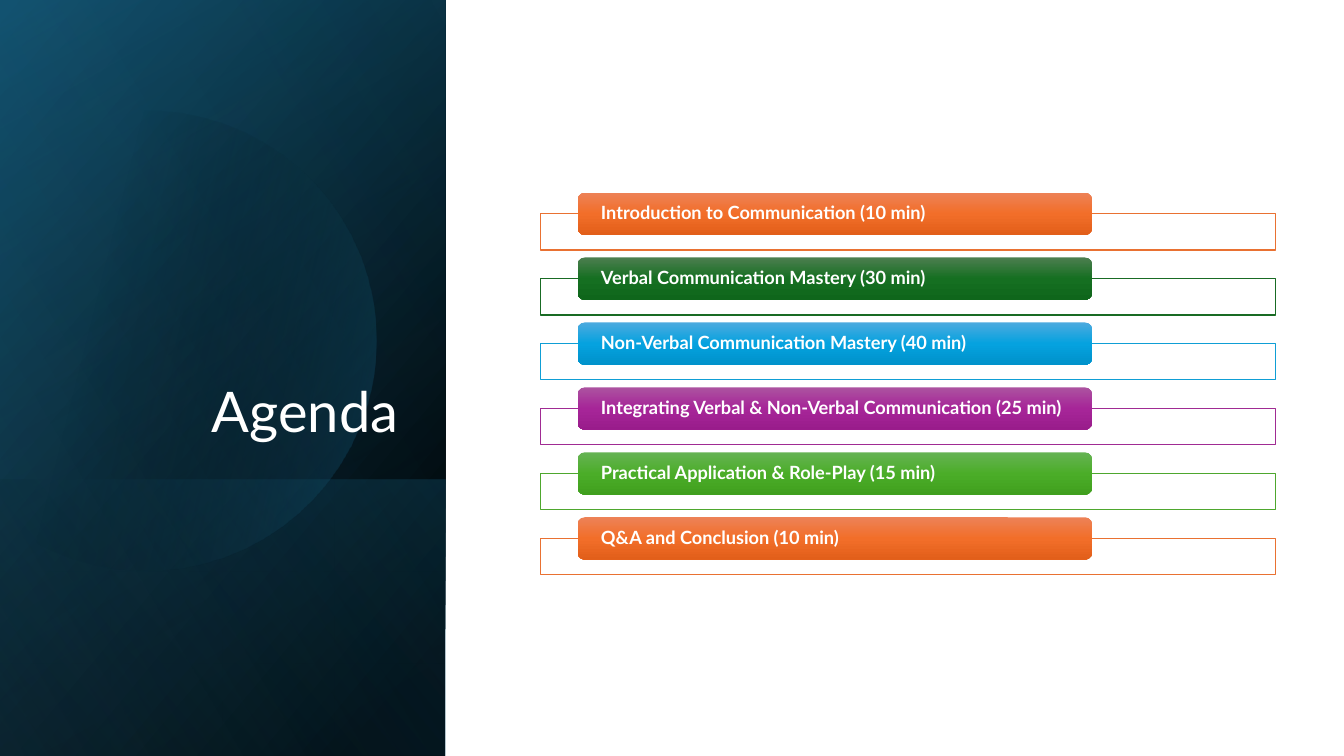
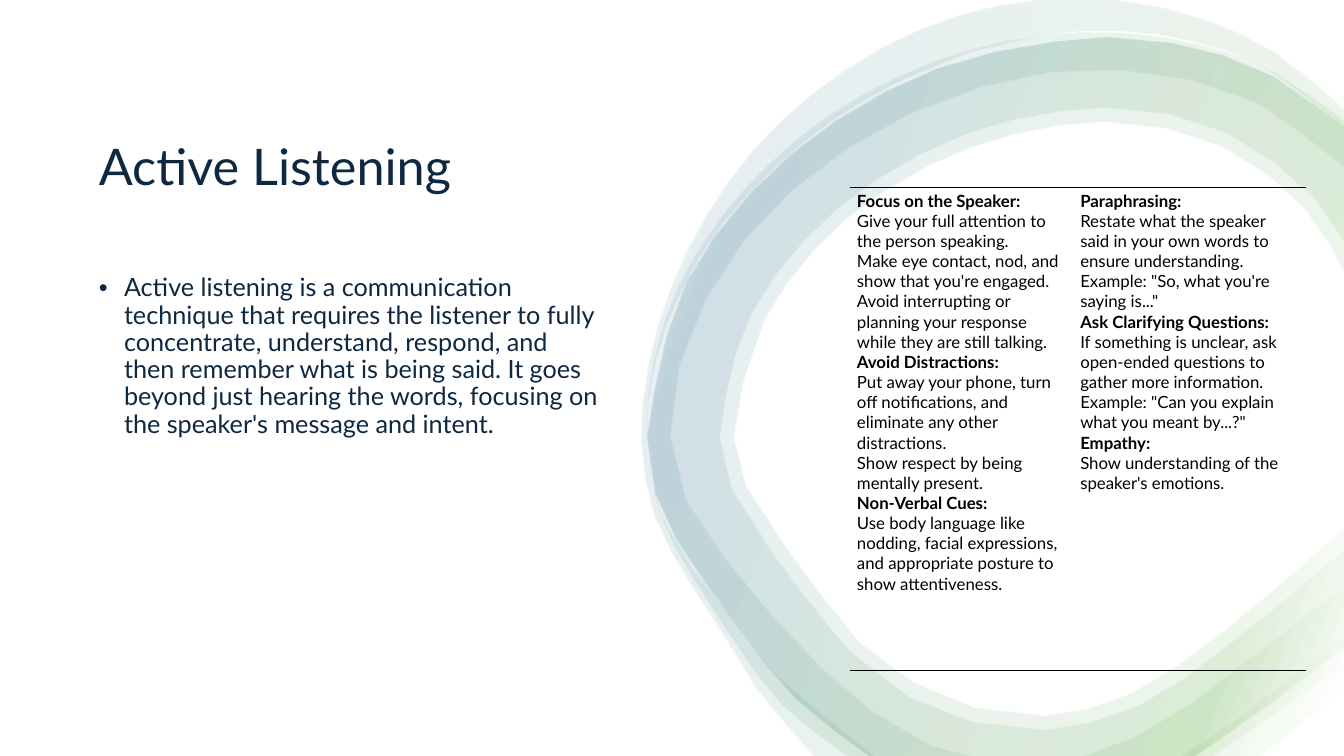
import math
from dataclasses import dataclass
from typing import Any, NamedTuple

from pptx import Presentation, util as u
from pptx.dml.color import RGBColor
from pptx.enum import shapes, text
from pptx.oxml import parse_xml
from pptx.oxml.ns import nsdecls, qn

Point = tuple[float, float]
Edge = list[Point]


# Theme and records
@dataclass(frozen=True)
class Theme:
    font: str = "Lato"
    white: str = "FFFFFF"
    black: str = "000000"
    navy: str = "0E2841"
    deep: str = "104862"
    teal: str = "156082"
    sky: str = "46B1E1"
    leaf: str = "4EA72E"
    agenda_title: float = 40
    topic_title: float = 36
    body: float = 18
    pill: float = 13
    table: float = 12


class Frame(NamedTuple):
    """Shares of the slide's width and height, in percent."""
    left: float
    top: float
    width: float
    height: float


class Stop(NamedTuple):
    at: float
    color: str
    opacity: float = 100


class Gradient(NamedTuple):
    stops: list[Stop]
    angle: float


class Accent(NamedTuple):
    line: str
    top: str
    middle: str
    bottom: str


class AgendaItem(NamedTuple):
    label: str
    accent: Accent


class Tip(NamedTuple):
    heading: str
    lines: list[str]


THEME = Theme()
WIDTH, HEIGHT = u.Inches(13.33), u.Inches(7.5)

# Agenda content
ORANGE = Accent("E97132", "ED8257", "F26E29", "E25F1A")
GREEN = Accent("196B24", "4D7E50", "156F21", "0F661B")
BLUE = Accent("0F9ED5", "4CAADF", "05A2DF", "0092CB")
PURPLE = Accent("A02B93", "AC53A0", "A62598", "991C8B")
LIME = Accent("4EA72E", "66B354", "4BAD28", "409F1E")
AGENDA = [
    AgendaItem("Introduction to Communication (10 min)", ORANGE),
    AgendaItem("Verbal Communication Mastery (30 min)", GREEN),
    AgendaItem("Non-Verbal Communication Mastery (40 min)", BLUE),
    AgendaItem("Integrating Verbal & Non-Verbal Communication (25 min)", PURPLE),
    AgendaItem("Practical Application & Role-Play (15 min)", LIME),
    AgendaItem("Q&A and Conclusion (10 min)", ORANGE),
]
ROW_STEP = 8.59
RAIL = Frame(40.21, 28.27, 54.69, 4.8)
PILL = Frame(42.99, 25.47, 38.26, 5.6)

# Side panel layers
PANEL = Frame(0, 0, 33.15, 100)
PANEL_FOOT = Frame(0, 63.47, 33.15, 36.53)
BASE = Gradient([Stop(8, THEME.black), Stop(100, THEME.deep)], 50)
GLOW = Gradient([Stop(0, THEME.black, 0), Stop(99, THEME.teal, 46)], 30)
FOOT = Gradient([Stop(2, THEME.teal, 29), Stop(100, THEME.black, 30)], 130)
DISC = Gradient([Stop(29, THEME.black, 0), Stop(100, THEME.teal, 43)], 14)
SHEEN = Gradient([Stop(0, THEME.black, 0), Stop(99, THEME.sky, 11)], 120)

# Listening content
DEFINITION = ("Active listening is a communication technique that requires the listener to "
              "fully concentrate, understand, respond, and then remember what is being said. "
              "It goes beyond just hearing the words, focusing on the speaker's message and intent.")
TIP_COLUMNS = [
    [Tip("Focus on the Speaker:", [
        "Give your full attention to the person speaking.",
        "Make eye contact, nod, and show that you're engaged.",
        "Avoid interrupting or planning your response while they are still talking."]),
     Tip("Avoid Distractions:", [
         "Put away your phone, turn off notifications, and eliminate any other distractions.",
         "Show respect by being mentally present."]),
     Tip("Non-Verbal Cues:", [
         "Use body language like nodding, facial expressions, and appropriate posture "
         "to show attentiveness."])],
    [Tip("Paraphrasing:", [
        "Restate what the speaker said in your own words to ensure understanding.",
        "Example: \"So, what you're saying is...\""]),
     Tip("Ask Clarifying Questions:", [
         "If something is unclear, ask open-ended questions to gather more information.",
         "Example: \"Can you explain what you meant by...?\""]),
     Tip("Empathy:", ["Show understanding of the speaker's emotions."])],
]
TIP_FRAME = Frame(63.24, 24.8, 33.91, 63.87)
COLUMN_SHARES = (0.49, 0.51)

# Ring edges: knots of smooth curves on a one-inch grid
RING_PAINT = Gradient([Stop(2, THEME.white, 10), Stop(16, THEME.leaf, 10),
                       Stop(85, THEME.teal, 10), Stop(100, THEME.white, 10)], 200)
HALO_OUTER: Edge = [
    (8.08, 7.5), (7.5, 6.82), (7.19, 6.31), (6.87, 5.82), (6.5, 5.13), (6.36, 4.36),
    (6.44, 3.59), (6.66, 2.84), (7.01, 2.13), (7.48, 1.48), (8.06, 0.93), (8.74, 0.48),
    (9.49, 0.16), (10.3, 0), (11.12, 0.01), (11.92, 0.19), (12.65, 0.53), (13.33, 1.09)]
HALO_INNER: Edge = [
    (13.33, 1.28), (12.56, 0.69), (11.85, 0.42), (11.1, 0.31), (10.34, 0.35), (9.61, 0.52),
    (8.92, 0.81), (8.27, 1.19), (7.68, 1.67), (7.16, 2.23), (6.76, 2.88), (6.5, 3.6),
    (6.41, 4.36), (6.56, 5.11), (6.85, 5.6), (7.21, 6.07), (7.69, 6.68), (8.68, 7.5)]
HALO_TAIL: list[Edge] = [
    [(13.33, 6.81), (12.88, 7.19), (12.49, 7.5)],
    [(11.7, 7.5), (12.3, 7.1), (12.61, 6.86), (13.33, 6.29)]]
BAND_OUTER: Edge = [
    (8.4, 7.5), (7.75, 6.99), (7.24, 6.3), (6.89, 5.76), (6.54, 5.08), (6.41, 4.32),
    (6.49, 3.57), (6.73, 2.85), (7.12, 2.2), (7.63, 1.63), (8.22, 1.15), (8.89, 0.77),
    (9.61, 0.5), (10.36, 0.35), (11.13, 0.33), (11.9, 0.45), (12.63, 0.72), (13.33, 1.21)]
BAND_INNER: Edge = [
    (13.33, 1.67), (12.47, 1.03), (11.81, 0.8), (11.11, 0.7), (10.41, 0.72), (9.72, 0.87),
    (9.05, 1.12), (8.43, 1.46), (7.87, 1.88), (7.38, 2.39), (7, 2.98), (6.74, 3.63),
    (6.65, 4.32), (6.81, 4.97), (7.2, 5.55), (7.66, 6.11), (8.14, 6.62), (8.65, 7.06),
    (9.24, 7.4), (9.62, 7.5)]
BAND_TAIL: list[Edge] = [
    [(13.33, 6.56), (12.76, 7), (12.03, 7.5)],
    [(10.73, 7.5), (11.23, 7.32), (11.82, 6.97), (12.39, 6.53), (13.33, 5.82)]]
CORE_OUTER: Edge = [
    (8.62, 7.5), (7.91, 6.95), (7.32, 6.23), (6.71, 5.35), (6.5, 4.89), (6.42, 4.34),
    (6.81, 2.8), (7.85, 1.53), (9.3, 0.68), (10.96, 0.37), (12.12, 0.55), (12.62, 0.76),
    (13.33, 1.27)]
CORE_TAIL: Edge = [(13.33, 6.41), (12.66, 6.93), (11.85, 7.5)]
CORE_WIDE: Edge = [
    (13.33, 2.72), (12.93, 2.07), (12.1, 1.45), (10.96, 1.21), (9.61, 1.47), (8.4, 2.17),
    (7.58, 3.18), (7.28, 4.34), (7.4, 4.82), (7.77, 5.39), (8.52, 6.37), (9.04, 6.76),
    (9.66, 7.02), (10.36, 7.1), (11.21, 6.88), (12.13, 6.26), (13.33, 5.24)]
CORE_SLIM: Edge = [
    (13.33, 2.41), (13.04, 1.98), (12.16, 1.32), (10.96, 1.07), (9.56, 1.34), (8.31, 2.07),
    (7.45, 3.12), (7.14, 4.34), (7.26, 4.85), (7.65, 5.47), (8.44, 6.47), (9.01, 6.91),
    (9.64, 7.16), (10.36, 7.24), (11.29, 7), (12.21, 6.37), (13.33, 5.45)]
RINGS: list[list[list[Edge]]] = [
    [[HALO_OUTER, HALO_INNER], HALO_TAIL],
    [[BAND_OUTER, BAND_INNER], BAND_TAIL],
    [[CORE_OUTER, CORE_SLIM, CORE_TAIL]],
    [[CORE_OUTER, CORE_WIDE, CORE_TAIL]],
]


# Formatting helpers
def apply(target: Any, **values: Any) -> None:
    for name, value in values.items():
        setattr(target, name, value)


def bounds(frame: Frame) -> tuple[int, int, int, int]:
    return tuple(round(share * side / 100)
                 for share, side in zip(frame, (WIDTH, HEIGHT, WIDTH, HEIGHT)))


def place(shape: Any, frame: Frame) -> None:
    apply(shape, **dict(zip(("left", "top", "width", "height"), bounds(frame))))


def write(para: Any, words: str, size: float, color: str, bold: bool = False) -> None:
    span = para.add_run()
    span.text = words
    apply(span.font, name=THEME.font, size=u.Pt(size), bold=bold)
    span.font.color.rgb = RGBColor.from_string(color)


def paint(shape: Any, gradient: Gradient) -> None:
    stops = "".join(
        f'<a:gs pos="{round(stop.at * 1000)}"><a:srgbClr val="{stop.color}">'
        f'<a:alpha val="{round(stop.opacity * 1000)}"/></a:srgbClr></a:gs>'
        for stop in gradient.stops)
    shape.shadow.inherit = False
    shape.line.fill.background()
    shape.fill.background()
    props = shape.element.spPr
    props.replace(props.find(qn("a:noFill")), parse_xml(
        f'<a:gradFill {nsdecls("a")} rotWithShape="1"><a:gsLst>{stops}</a:gsLst>'
        f'<a:lin ang="{round(gradient.angle * 60000)}" scaled="0"/></a:gradFill>'))


# Drawing helpers
def draw_panel(slide: Any, frame: Frame, gradient: Gradient) -> None:
    """A mirrored rectangle, turned a quarter to fill the frame."""
    left, top, width, height = bounds(frame)
    shift = (width - height) // 2
    panel = slide.shapes.add_shape(shapes.MSO_SHAPE.RECTANGLE,
                                   left + shift, top - shift, height, width)
    panel.rotation = 90
    panel.element.spPr.find(qn("a:xfrm")).set("flipH", "1")
    paint(panel, gradient)


def smooth(knots: Edge, spacing: float = 0.5) -> Edge:
    """Points of a Catmull-Rom curve through the knots, about one spacing apart."""
    padded = [knots[0], *knots, knots[-1]]
    curve = [knots[0]]
    for a, b, c, d in zip(padded, padded[1:], padded[2:], padded[3:]):
        steps = max(1, round(math.dist(b, c) / spacing))
        for step in range(1, steps + 1):
            t = step / steps
            x, y = (q + t / 2 * (r - p + t * (2 * p - 5 * q + 4 * r - s
                                              + t * (3 * q - p - 3 * r + s)))
                    for p, q, r, s in zip(a, b, c, d))
            curve.append((x, y))
    return curve


def draw_outline(slide: Any, contours: list[Edge], gradient: Gradient) -> None:
    builder = None
    for contour in contours:
        points = [(u.Inches(x), u.Inches(y)) for x, y in contour]
        if builder is None:
            builder = slide.shapes.build_freeform(*points[0])
        else:
            builder.move_to(*points[0])
        builder.add_line_segments(points[1:], close=True)
    paint(builder.convert_to_shape(), gradient)


def draw_disc(slide: Any, center: Point = (1.45, 3.38), radius: float = 2.28) -> None:
    """A circle cut off at the slide's left edge."""
    reach = math.acos(-center[0] / radius)
    angles = [reach * step / 24 for step in range(-24, 25)]
    draw_outline(slide, [[(center[0] + radius * math.cos(angle),
                           center[1] + radius * math.sin(angle)) for angle in angles]], DISC)


def set_title(slide: Any, words: str, frame: Frame, size: float, color: str,
              align: Any, anchor: Any) -> None:
    title = slide.shapes.title
    place(title, frame)
    apply(title.text_frame, word_wrap=True, vertical_anchor=anchor,
          auto_size=text.MSO_AUTO_SIZE.NONE)
    para = title.text_frame.paragraphs[0]
    apply(para, alignment=align, line_spacing=0.9)
    write(para, words, size, color)
    slide.shapes.element.append(title.element)  # in front of the artwork


def draw_agenda_row(slide: Any, item: AgendaItem, row: int) -> None:
    rail_frame, pill_frame = (frame._replace(top=frame.top + row * ROW_STEP)
                              for frame in (RAIL, PILL))
    rail = slide.shapes.add_shape(shapes.MSO_SHAPE.RECTANGLE, *bounds(rail_frame))
    rail.shadow.inherit = False
    rail.fill.solid()
    rail.fill.fore_color.rgb = RGBColor.from_string(THEME.white)
    rail.line.color.rgb = RGBColor.from_string(item.accent.line)
    rail.line.width = u.Pt(1)
    pill = slide.shapes.add_shape(shapes.MSO_SHAPE.ROUNDED_RECTANGLE, *bounds(pill_frame))
    paint(pill, Gradient([Stop(0, item.accent.top), Stop(50, item.accent.middle),
                          Stop(100, item.accent.bottom)], 90))
    apply(pill.text_frame, word_wrap=True, vertical_anchor=text.MSO_ANCHOR.MIDDLE,
          margin_left=u.Inches(0.21), margin_right=u.Inches(0.21), margin_top=0, margin_bottom=0)
    para = pill.text_frame.paragraphs[0]
    apply(para, alignment=text.PP_ALIGN.LEFT, line_spacing=0.9)
    write(para, item.label, THEME.pill, THEME.white, bold=True)


def set_borders(cell: Any) -> None:
    solid = f'<a:solidFill><a:srgbClr val="{THEME.black}"/></a:solidFill>'
    for index, side in enumerate("LRTB"):
        stroke = solid if side in "TB" else "<a:noFill/>"
        cell._tc.get_or_add_tcPr().insert(index, parse_xml(
            f'<a:ln{side} {nsdecls("a")} w="12700">{stroke}</a:ln{side}>'))


def draw_tips(slide: Any) -> None:
    table = slide.shapes.add_table(1, len(TIP_COLUMNS), *bounds(TIP_FRAME)).table
    apply(table, first_row=False, horz_banding=False)
    for index, (tips, share) in enumerate(zip(TIP_COLUMNS, COLUMN_SHARES)):
        table.columns[index].width = round(bounds(TIP_FRAME)[2] * share)
        cell = table.cell(0, index)
        apply(cell, margin_left=u.Inches(0.07), margin_right=u.Inches(0.07),
              margin_top=u.Inches(0.03), margin_bottom=u.Inches(0.03))
        cell.fill.background()
        set_borders(cell)
        lines = [(words, words == tip.heading) for tip in tips
                 for words in (tip.heading, *tip.lines)]
        for number, (words, bold) in enumerate(lines):
            box = cell.text_frame
            para = box.add_paragraph() if number else box.paragraphs[0]
            write(para, words, THEME.table, THEME.black, bold)


# Slides
def build_agenda(deck: Any) -> None:
    slide = deck.slides.add_slide(deck.slide_layouts[5])
    for frame, gradient in ((PANEL, BASE), (PANEL, GLOW), (PANEL_FOOT, FOOT)):
        draw_panel(slide, frame, gradient)
    draw_disc(slide)
    draw_panel(slide, PANEL, SHEEN)
    set_title(slide, "Agenda", Frame(4.8, 24.53, 25.58, 34.93), THEME.agenda_title,
              THEME.white, text.PP_ALIGN.RIGHT, text.MSO_ANCHOR.BOTTOM)
    for row, item in enumerate(AGENDA):
        draw_agenda_row(slide, item, row)


def build_listening(deck: Any) -> None:
    slide = deck.slides.add_slide(deck.slide_layouts[1])
    for ring in RINGS:
        draw_outline(slide, [[point for edge in edges for point in smooth(edge)]
                             for edges in ring], RING_PAINT)
    set_title(slide, "Active Listening", Frame(6.6, 11.73, 39.08, 21.2), THEME.topic_title,
              THEME.navy, text.PP_ALIGN.LEFT, text.MSO_ANCHOR.MIDDLE)
    body = slide.placeholders[1]
    place(body, Frame(6.6, 35.73, 39.08, 48.93))
    apply(body.text_frame, word_wrap=True, auto_size=text.MSO_AUTO_SIZE.NONE)
    para = body.text_frame.paragraphs[0]
    props = para._p.get_or_add_pPr()
    apply(props, marL=u.Inches(0.25), indent=u.Inches(-0.25))
    for name in ("marL", "indent"):
        props.set(name, str(getattr(props, name)))
    props.append(parse_xml(f'<a:buChar {nsdecls("a")} char="•"/>'))
    apply(para, line_spacing=0.9, space_before=u.Pt(0))
    write(para, DEFINITION, THEME.body, THEME.navy)
    slide.shapes.element.append(body.element)
    draw_tips(slide)


def main() -> None:
    deck = Presentation()
    apply(deck, slide_width=WIDTH, slide_height=HEIGHT)
    build_agenda(deck)
    build_listening(deck)
    deck.save("out.pptx")


if __name__ == "__main__":
    main()
